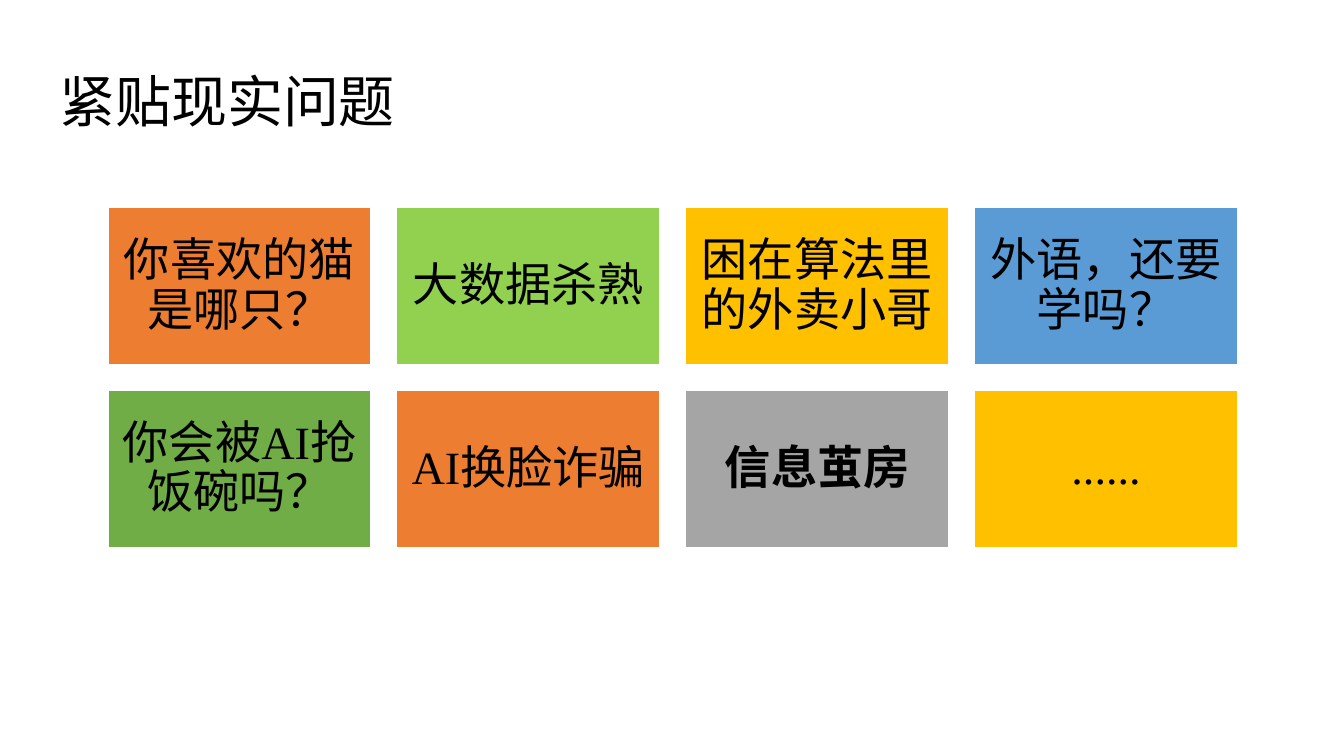
from pptx import Presentation
from pptx.dml.color import RGBColor
from pptx.enum.shapes import MSO_SHAPE
from pptx.enum.text import MSO_ANCHOR, MSO_AUTO_SIZE, PP_ALIGN
from pptx.util import Cm, Pt

FONT = "Times New Roman"
COLUMNS = 4
LEFT, TOP = 2.72, 5.23
CARD_W, CARD_H = 6.63, 3.96
GAP = 0.65
INSET = 0.35

# text, fill, bold
TOPICS = [
    ("你喜欢的猫是哪只？", "ED7D31", False),
    ("大数据杀熟", "92D050", False),
    ("困在算法里的外卖小哥", "FFC000", False),
    ("外语，还要学吗？", "5B9BD5", False),
    ("你会被AI抢饭碗吗？", "70AD47", False),
    ("AI换脸诈骗", "ED7D31", False),
    ("信息茧房", "A5A5A5", True),
    ("......", "FFC000", False),
]


def color(value):
    return RGBColor.from_string(value)


def write(tf, text, size, align, bold=False):
    """Fill a text frame with one vertically centred paragraph."""
    tf.text = text
    tf.word_wrap = True
    tf.auto_size = MSO_AUTO_SIZE.NONE
    tf.vertical_anchor = MSO_ANCHOR.MIDDLE
    p = tf.paragraphs[0]
    p.alignment = align
    p.line_spacing = 0.9
    font = p.runs[0].font
    font.name = FONT
    font.size = Pt(size)
    font.bold = bold
    font.color.rgb = color("000000")


def add_title(s, text):
    title = s.shapes.title
    title.left, title.top = Cm(1.24), Cm(0.79)
    title.width, title.height = Cm(10.34), Cm(3.68)
    write(title.text_frame, text, 40, PP_ALIGN.LEFT)


def add_card(s, x, y, text, fill, bold):
    card = s.shapes.add_shape(MSO_SHAPE.RECTANGLE, Cm(x), Cm(y),
                              Cm(CARD_W), Cm(CARD_H))
    card.shadow.inherit = False
    card.fill.solid()
    card.fill.fore_color.rgb = color(fill)
    card.line.color.rgb = color("FFFFFF")
    card.line.width = Pt(1)
    tf = card.text_frame
    tf.margin_left = tf.margin_right = Cm(INSET)
    tf.margin_top = tf.margin_bottom = Cm(INSET)
    write(tf, text, 33, PP_ALIGN.CENTER, bold)


def main():
    prs = Presentation()
    prs.slide_width, prs.slide_height = Cm(33.87), Cm(19.05)
    s = prs.slides.add_slide(prs.slide_layouts.get_by_name("Title Only"))
    add_title(s, "紧贴现实问题")
    for i, (text, fill, bold) in enumerate(TOPICS):
        row, col = divmod(i, COLUMNS)
        add_card(s, LEFT + col * (CARD_W + GAP), TOP + row * (CARD_H + GAP),
                 text, fill, bold)
    prs.save("out.pptx")


if __name__ == "__main__":
    main()
